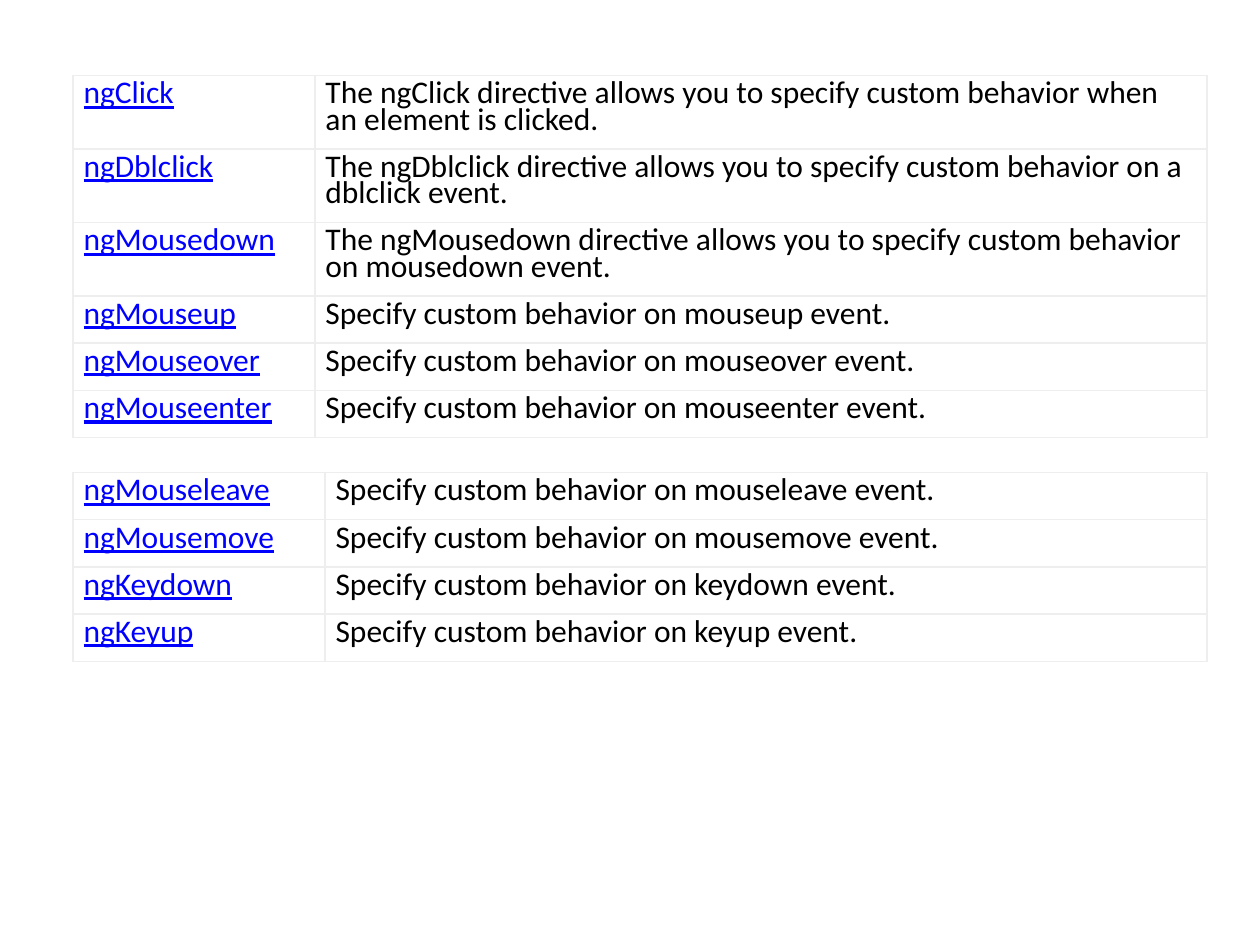
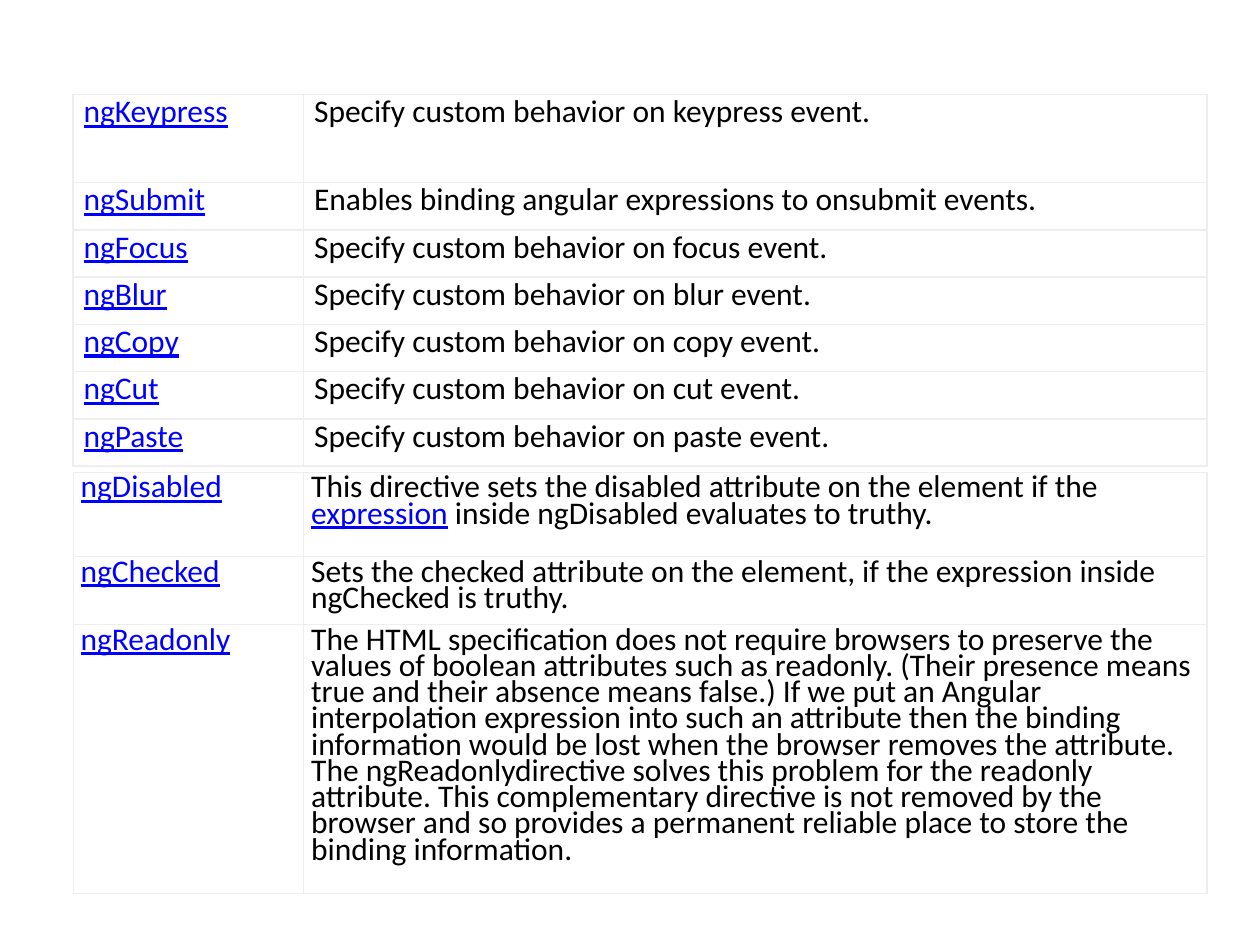
from lxml.etree import SubElement
from pptx import Presentation
from pptx.dml.color import RGBColor
from pptx.oxml.ns import qn
from pptx.util import Inches, Pt

LINE = 15 / 72
WIDE = 1 / 12
NARROW = 0.06
ONE_LINE = LINE + 2 * WIDE
TWO_LINES = 2 * LINE + 2 * WIDE

MOUSE_ROWS = [
    ("ngClick", "The ngClick directive allows you to specify custom behavior when an element is clicked.", TWO_LINES),
    ("ngDblclick", "The ngDblclick directive allows you to specify custom behavior on a dblclick event.", TWO_LINES),
    ("ngMousedown", "The ngMousedown directive allows you to specify custom behavior on mousedown event.", TWO_LINES),
]
ATTRIBUTE_ROWS = [
    ("ngDisabled", "This directive sets the disabled attribute on the element if "
     "the |expression| inside ngDisabled evaluates to truthy.", 0.67),
    ("ngChecked", "Sets the checked attribute on the element, if the expression "
     "inside ngChecked is truthy.", 0.54),
    ("ngReadonly", "The HTML specification does not require browsers to preserve the values of "
     "boolean attributes such as readonly. (Their presence means true and their absence means "
     "false.) If we put an Angular interpolation expression into such an attribute then the "
     "binding information would be lost when the browser removes the attribute. "
     "The ngReadonlydirective solves this problem for the readonly attribute. "
     "This complementary directive is not removed by the browser and so provides a permanent "
     "reliable place to store the binding information.", 2.13),
]


def color(value):
    """Turn a hex string into a colour."""
    return RGBColor.from_string(value)


def event_rows(*events):
    """Describe the directives that share the one-line event wording."""
    return [(f"ng{event.capitalize()}", f"Specify custom behavior on {event} event.", ONE_LINE)
            for event in events]


def mouse_rows(*actions):
    """Describe the mouse directives."""
    return event_rows(*(f"mouse{action}" for action in actions))


class DirectiveDeck:
    """Hold the shared style and the current slide."""

    font, size = "Calibri", 18
    text, link, paper, rule = "000000", "0000FF", "FFFFFF", "EEEEEE"
    left, width = 0.58, 9

    def __init__(self):
        """Start an empty deck."""
        self.deck = Presentation()
        self.deck.slide_width, self.deck.slide_height = Inches(10), Inches(7.5)
        self.page = None

    def add_page(self):
        """Add a blank slide and make it current."""
        self.page = self.deck.slides.add_slide(self.deck.slide_layouts[6])

    def add_directives(self, top, name_width, rows, inset=WIDE, border=1):
        """Add a table of directive names and descriptions."""
        height = sum(row[2] for row in rows)
        frame = self.page.shapes.add_table(len(rows), 2, Inches(self.left), Inches(top),
                                           Inches(self.width), Inches(height))
        table = frame.table
        table.first_row = table.horz_banding = False
        table.columns[0].width = Inches(name_width)
        table.columns[1].width = Inches(self.width - name_width)
        for index, (name, description, row_height) in enumerate(rows):
            table.rows[index].height = Inches(row_height)
            self.fill_cell(table.cell(index, 0), f"|{name}|", inset, border)
            self.fill_cell(table.cell(index, 1), description, inset, border)

    def fill_cell(self, cell, wording, inset, border):
        """Style a cell and write its text, with links between bars."""
        cell.margin_left = cell.margin_right = Inches(inset)
        cell.margin_top = cell.margin_bottom = Inches(inset)
        self.add_borders(cell, border)
        cell.fill.solid()
        cell.fill.fore_color.rgb = color(self.paper)
        para = cell.text_frame.paragraphs[0]
        para.line_spacing, para.space_after = Pt(15), Pt(7.5)
        para.font.name, para.font.size = self.font, Pt(self.size)
        para.font.color.rgb = color(self.text)
        for index, part in enumerate(wording.split("|")):
            if part:
                span = para.add_run()
                span.text = part
                if index % 2:
                    span.font.color.rgb = color(self.link)
                    span.font.underline = True

    def add_borders(self, cell, weight):
        """Draw the four thin borders of a cell."""
        properties = cell._tc.get_or_add_tcPr()
        for side in ("lnL", "lnR", "lnT", "lnB"):
            line = SubElement(properties, qn(f"a:{side}"), w=str(Pt(weight)))
            fill = SubElement(line, qn("a:solidFill"))
            SubElement(fill, qn("a:srgbClr"), val=self.rule)


def main():
    """Build both slides and save them."""
    builder = DirectiveDeck()

    builder.add_page()
    builder.add_directives(0.6, 1.92, MOUSE_ROWS + mouse_rows("up", "over", "enter"))
    builder.add_directives(3.75, 2, mouse_rows("leave", "move") + event_rows("keydown", "keyup"))

    builder.add_page()
    keypress = ("ngKeypress", "Specify custom behavior on keypress event.", 0.7)
    submit = ("ngSubmit", "Enables binding angular expressions to onsubmit events.", ONE_LINE)
    builder.add_directives(0.75, 1.83, [keypress, submit]
                           + event_rows("focus", "blur", "copy", "cut", "paste"))
    builder.add_directives(3.75, 1.83, ATTRIBUTE_ROWS, NARROW, 0.75)

    builder.deck.save("out.pptx")


if __name__ == "__main__":
    main()
